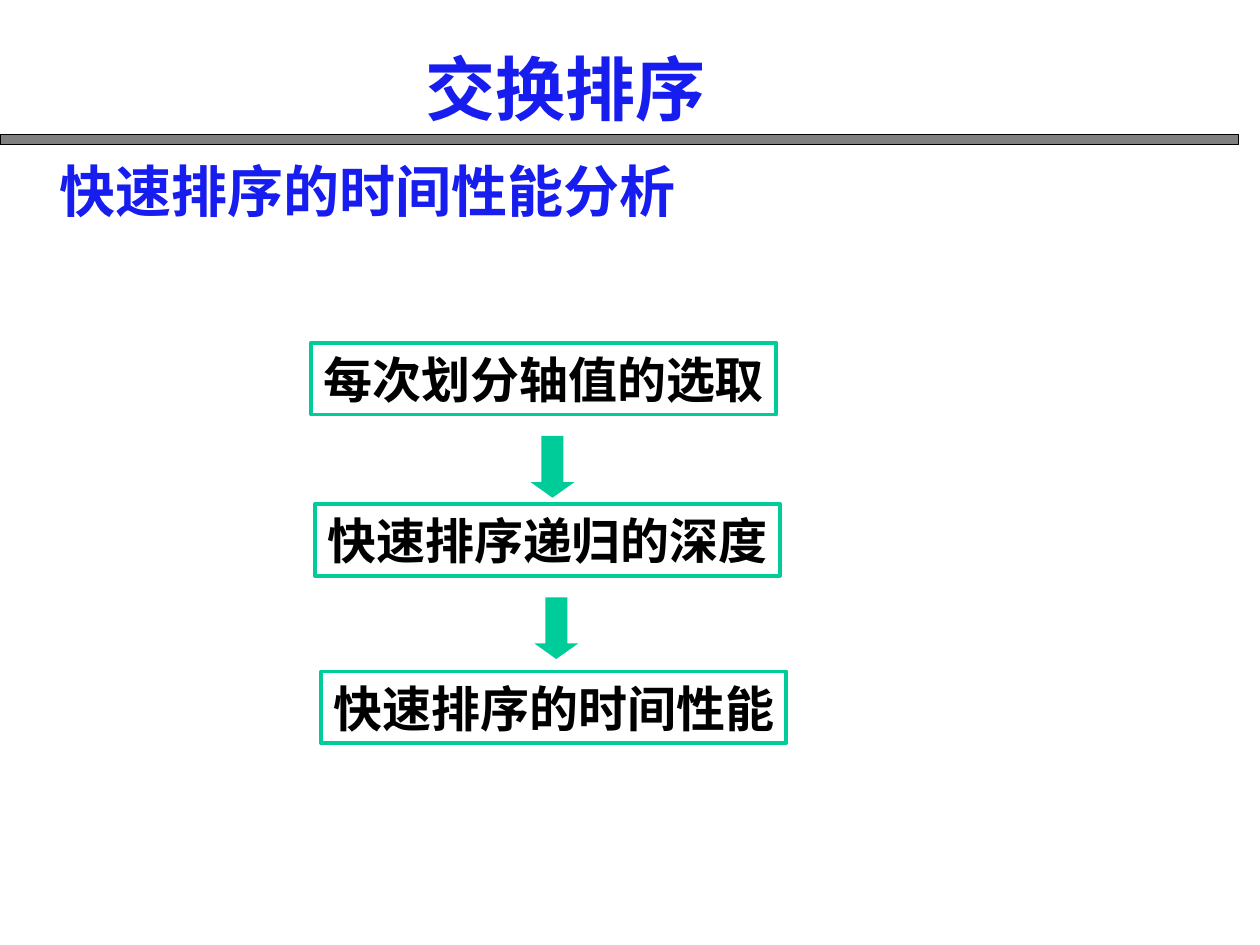
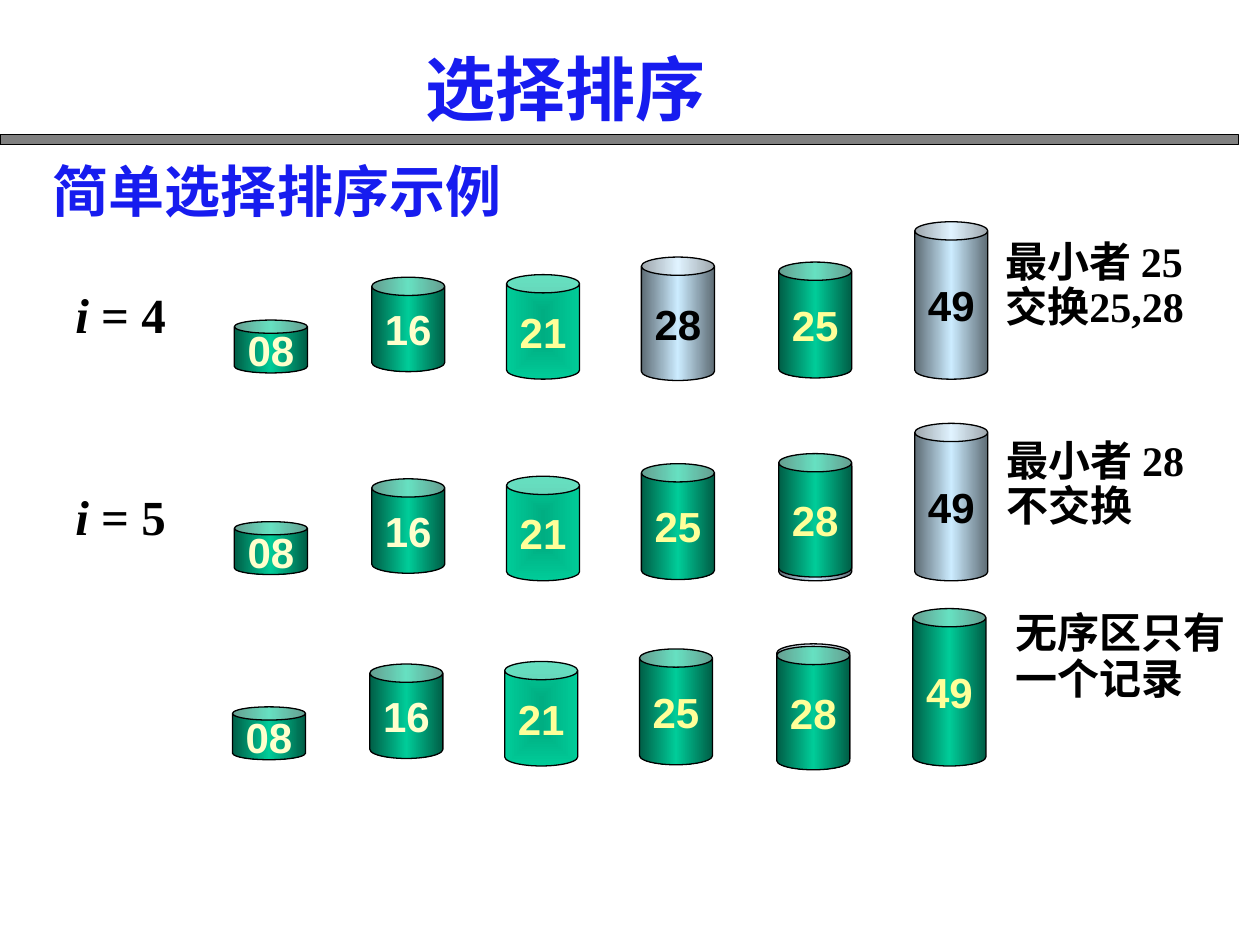
from dataclasses import dataclass

from lxml import etree
from pptx import Presentation
from pptx.dml.color import RGBColor
from pptx.enum.shapes import MSO_SHAPE
from pptx.enum.text import MSO_ANCHOR, MSO_AUTO_SIZE, PP_ALIGN
from pptx.oxml import parse_xml
from pptx.oxml.ns import nsdecls, qn
from pptx.util import Inches, Pt

RECT, ARROW, CAN = MSO_SHAPE.RECTANGLE, MSO_SHAPE.DOWN_ARROW, MSO_SHAPE.CAN
MIDDLE, FIXED = MSO_ANCHOR.MIDDLE, MSO_AUTO_SIZE.NONE
LEFT, CENTER = PP_ALIGN.LEFT, PP_ALIGN.CENTER

BLUE, GREEN, GREY, BLACK = "171CEF", "00CC99", "808080", "000000"
CREAM, YELLOW = "FFFFCC", "FFFF99"
SANS, SERIF, ARIAL = "Noto Sans CJK SC", "Times New Roman", "Arial"

SIDES = '<a:lin ang="0" scaled="1"/>'
INNER = ('<a:path path="rect"><a:fillToRect l="50000" t="50000" '
         'r="50000" b="50000"/></a:path>')


@dataclass(frozen=True)
class Tone:
    stops: tuple[str, ...]
    shade: str = SIDES


STEEL = Tone(("5E6C75", "CCECFF", "5E6C75"))
DARK = Tone(("005E46", GREEN, "005E46"))
LIGHT = Tone(("00AE82", GREEN), INNER)


@dataclass(frozen=True)
class Item:
    """A sorted number; drop is measured from the top of its row."""
    drop: float
    height: float
    ink: str = YELLOW
    tone: Tone = DARK


ITEMS = {
    "08": Item(0.78, 0.42, CREAM),
    "16": Item(0.44, 0.75, CREAM),
    "21": Item(0.42, 0.83, tone=LIGHT),
    "25": Item(0.32, 0.92),
    "28": Item(0.28, 0.98),
    "49": Item(0, 1.25),
}
COLS = (1.86, 2.95, 4.02, 5.09, 6.18, 7.26)
WIDTH = 0.58


@dataclass(frozen=True)
class Row:
    """One pass; open holds unsorted numbers, lift moves 28 up,
    and back is the drop of the steel can behind 28."""
    left: float
    top: float
    order: str
    open: str
    note: tuple[str, ...]
    spot: tuple[float, float, float]
    step: str = ""
    lift: float = 0
    back: float | None = None


ROWS = (
    Row(0, 1.76, "08 16 21 28 25 49", "28 49", ("最小者 25", "交换25,28"),
        (7.88, 1.86, 1.69), "4"),
    Row(0, 3.36, "08 16 21 25 28 49", "49", ("最小者 28", "不交换"),
        (7.89, 3.44, 1.69), "5", 0.04, 0.27),
    Row(-0.015, 4.83, "08 16 21 25 28 49", "", ("无序区只有", "一个记录"),
        (7.96, 4.81, 1.86), lift=-0.02, back=0.28),
)


@dataclass(frozen=True)
class Stage:
    text: str
    left: float
    top: float


STAGES = (
    Stage("每次划分轴值的选取", 2.47, 2.72),
    Stage("快速排序递归的深度", 2.5, 4),
    Stage("快速排序的时间性能", 2.55, 5.33),
)
ARROWS = ((4.21, 3.46), (4.24, 4.74))


def rgb(code: str) -> RGBColor:
    return RGBColor.from_string(code)


def place(shape, left: float, top: float, width: float, height: float) -> None:
    shape.left, shape.top = Inches(left), Inches(top)
    shape.width, shape.height = Inches(width), Inches(height)


def style(para, size: float, face: str, ink: str, align=LEFT) -> None:
    para.alignment = align
    para.space_before = Pt(0)
    font = para.font
    font.size, font.name, font.bold = Pt(size), face, True
    font.color.rgb = rgb(ink)
    latin = para._p.pPr.find(qn("a:defRPr")).find(qn("a:latin"))
    east = etree.Element(qn("a:ea"))
    east.set("typeface", SANS)
    latin.addnext(east)


def frame(shape, wrap: bool = False):
    """Prepare the shape's text frame and return it."""
    text = shape.text_frame
    text.auto_size, text.word_wrap = FIXED, wrap
    text.vertical_anchor = MIDDLE
    return text


def draw(slide, kind, left: float, top: float, width: float, height: float,
         fill: str | None = None, line: str | None = None, weight: float = 0.75):
    shape = slide.shapes.add_shape(kind, 0, 0, 0, 0)
    place(shape, left, top, width, height)
    shape.shadow.inherit = False
    if fill:
        shape.fill.solid()
        shape.fill.fore_color.rgb = rgb(fill)
    else:
        shape.fill.background()
    if line:
        shape.line.color.rgb = rgb(line)
        shape.line.width = Pt(weight)
    else:
        shape.line.fill.background()
    return shape


def label(shape, words: str, size: float, face: str, ink: str) -> None:
    para = frame(shape).paragraphs[0]
    para.text = words
    style(para, size, face, ink, CENTER)


def shade(shape, tone: Tone) -> None:
    """Replace the shape's fill with the tone's gradient."""
    last = len(tone.stops) - 1
    stops = "".join(
        f'<a:gs pos="{100000 * i // last}"><a:srgbClr val="{code}"/></a:gs>'
        for i, code in enumerate(tone.stops))
    grad = parse_xml(f'<a:gradFill {nsdecls("a")} rotWithShape="1">'
                     f'<a:gsLst>{stops}</a:gsLst>{tone.shade}</a:gradFill>')
    props = shape._element.spPr
    props.replace(props.find(qn("a:noFill")), grad)


def glow(run) -> None:
    """Give the run a grey drop shadow."""
    run._r.get_or_add_rPr().append(parse_xml(
        f'<a:effectLst {nsdecls("a")}><a:outerShdw dist="35921" dir="2700000">'
        f'<a:srgbClr val="{GREY}"/></a:outerShdw></a:effectLst>'))


def start(deck, title: str, topic: str, left: float, width: float):
    """Add a slide with its band, title and topic line."""
    slide = deck.slides.add_slide(deck.slide_layouts[1])
    draw(slide, RECT, 0, 1.07, 9.83, 0.08, GREY, BLACK)
    head, body = slide.placeholders
    place(head, 3.28, 0.31, 3.17, 0.77)
    place(body, left, 1.19, width, 0.64)
    for shape, words, size, face in ((head, title, 40, SANS),
                                     (body, topic, 32, SERIF)):
        para = frame(shape, True).paragraphs[0]
        para.text = words
        style(para, size, face, BLUE)
    glow(head.text_frame.paragraphs[0].runs[0])
    props = body.text_frame.paragraphs[0]._p.pPr
    props.set("marL", "0")
    props.set("indent", "0")
    props.find(qn("a:defRPr")).addprevious(etree.Element(qn("a:buNone")))
    return slide


def box(slide, left: float, top: float, width: float, height: float):
    shape = slide.shapes.add_textbox(0, 0, 0, 0)
    place(shape, left, top, width, height)
    return frame(shape)


def can(slide, left: float, top: float, height: float, tone: Tone):
    shape = draw(slide, CAN, left, top, WIDTH, height, line=BLACK)
    shape.adjustments[0] = 0.25
    shade(shape, tone)
    return shape


def row(slide, item: Row) -> None:
    for col, name in zip(COLS, item.order.split()):
        data, left = ITEMS[name], col + item.left
        top = item.top + data.drop
        if name == "28":
            top -= item.lift
            if item.back is not None:
                can(slide, left, item.top + item.back, data.height, STEEL)
        wait = name in item.open.split()
        shape = can(slide, left, top, data.height, STEEL if wait else data.tone)
        label(shape, name, 24, ARIAL, BLACK if wait else data.ink)

    if item.step:
        para = box(slide, 0.5, item.top + 0.45, 0.92, 0.57).paragraphs[0]
        style(para, 28, SERIF, BLACK)
        sign, value = para.add_run(), para.add_run()
        sign.text, value.text = "i ", f"= {item.step}"
        sign.font.italic = True

    note = box(slide, *item.spot, 0.82)
    note.text = "\n".join(item.note)
    for para in note.paragraphs:
        style(para, 24, SERIF, BLACK)
        para.line_spacing = 0.9


def quick(deck) -> None:
    slide = start(deck, "交换排序", "快速排序的时间性能分析", 0.37, 5.75)
    for stage in STAGES:
        shape = draw(slide, RECT, stage.left, stage.top, 3.69, 0.57,
                     line=GREEN, weight=2.25)
        label(shape, stage.text, 28, SANS, BLACK)
    for left, top in ARROWS:
        arrow = draw(slide, ARROW, left, top, 0.35, 0.49, GREEN)
        arrow.adjustments[0], arrow.adjustments[1] = 0.5, 0.355


def select(deck) -> None:
    slide = start(deck, "选择排序", "简单选择排序示例", 0.32, 5.33)
    for item in ROWS:
        row(slide, item)


def main() -> None:
    deck = Presentation()
    deck.slide_width, deck.slide_height = Inches(10), Inches(7.5)
    quick(deck)
    select(deck)
    deck.save("out.pptx")


if __name__ == "__main__":
    main()
